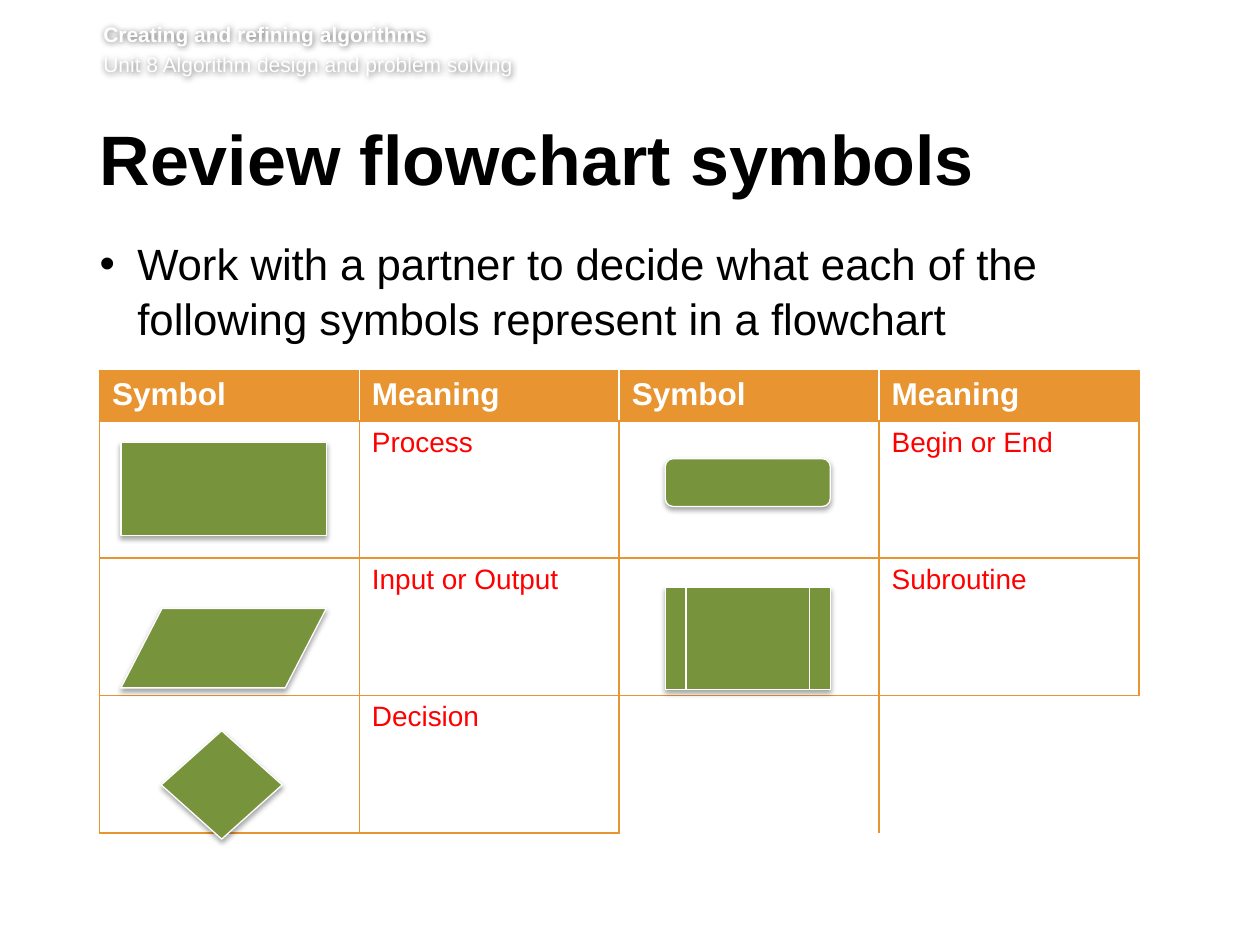
"""Build the flowchart symbols review slide."""
from dataclasses import dataclass

from lxml.etree import SubElement
from pptx import Presentation
from pptx.dml.color import RGBColor
from pptx.enum.shapes import MSO_SHAPE as Preset
from pptx.enum.text import MSO_ANCHOR as Anchor, MSO_AUTO_SIZE as AutoSize, PP_ALIGN as Align
from pptx.oxml import parse_xml
from pptx.oxml.ns import nsdecls, qn
from pptx.util import Inches, Pt

ORANGE, GREEN, RED = "E89431", "77933C", "FF0000"
WHITE, BLACK = "FFFFFF", "000000"
NO_STYLE = "{2D5ABB26-0587-4C30-8999-92F81FD0307C}"
LEFT, TABLE_TOP = 0.79, 2.94
COLUMN_WIDTH, HEADER_HEIGHT, ROW_HEIGHT = 2.0625, 0.4, 1.09
MEANINGS = [
    ["Symbol", "Meaning", "Symbol", "Meaning"],
    ["", "Process", "", "Begin or End"],
    ["", "Input or Output", "", "Subroutine"],
    ["", "Decision", "", ""],
]


@dataclass
class Symbol:
    """A flowchart symbol with its place in inches."""
    preset: Preset
    left: float
    top: float
    width: float
    height: float


SYMBOLS = [
    Symbol(Preset.ROUNDED_RECTANGLE, 5.28, 3.64, 1.31, 0.38),
    Symbol(Preset.FLOWCHART_PROCESS, 0.96, 3.51, 1.63, 0.74),
    Symbol(Preset.FLOWCHART_DATA, 0.96, 4.83, 1.63, 0.63),
    Symbol(Preset.FLOWCHART_PREDEFINED_PROCESS, 5.28, 4.66, 1.31, 0.81),
    Symbol(Preset.FLOWCHART_DECISION, 1.28, 5.8, 0.96, 0.86),
]


def rgb(color: str) -> RGBColor:
    """Turn a hex string into a colour."""
    return RGBColor.from_string(color)


def style(paragraph, size: float, color: str, bold: bool = False) -> None:
    """Format every run of a paragraph."""
    for run in paragraph.runs:
        run.font.name = "Arial"
        run.font.size = Pt(size)
        run.font.bold = bold
        run.font.color.rgb = rgb(color)


def set_frame(frame, top: float, right: float, bottom: float) -> None:
    """Set wrapping, top anchor and insets of a text frame."""
    frame.word_wrap = True
    frame.auto_size = AutoSize.NONE
    frame.vertical_anchor = Anchor.TOP
    frame.margin_left, frame.margin_top = 0, Inches(top)
    frame.margin_right, frame.margin_bottom = Inches(right), Inches(bottom)


def add_shadow(shape, blur: float, distance: float, alpha: int) -> None:
    """Give a shape a soft black shadow falling downwards."""
    shape.shadow.inherit = False
    effects = shape._element.spPr.find(qn("a:effectLst"))
    effects.append(parse_xml(
        f'<a:outerShdw {nsdecls("a")} blurRad="{Pt(blur)}" dist="{Pt(distance)}" '
        f'dir="5400000" rotWithShape="0"><a:srgbClr val="{BLACK}">'
        f'<a:alpha val="{alpha * 1000}"/></a:srgbClr></a:outerShdw>'))


def add_unit_header(slide) -> None:
    """Add the lesson and unit names at the top."""
    box = slide.shapes.add_textbox(Inches(0.82), Inches(0.17), Inches(8.82), Inches(0.49))
    frame = box.text_frame
    set_frame(frame, 0, 0, 0.05)
    frame.text = "Creating and refining algorithms\nUnit 8 Algorithm design and problem solving"
    lesson, unit = frame.paragraphs
    style(lesson, 12, WHITE, bold=True)
    style(unit, 12, WHITE)
    unit.space_before = Pt(2.9)
    add_shadow(box, 4, 0, 60)


def set_title(title) -> None:
    """Place and format the slide title."""
    title.left, title.top = Inches(LEFT), Inches(0.99)
    title.width, title.height = Inches(8.55), Inches(0.73)
    set_frame(title.text_frame, 0.05, 0.1, 0.05)
    title.text_frame.text = "Review flowchart symbols"
    heading = title.text_frame.paragraphs[0]
    heading.alignment = Align.LEFT
    heading.line_spacing = Pt(39)
    style(heading, 40, BLACK, bold=True)


def add_task(slide) -> None:
    """Add the bulleted task."""
    box = slide.shapes.add_textbox(Inches(LEFT), Inches(1.86), Inches(8.53), Inches(1))
    set_frame(box.text_frame, 0, 0.1, 0.05)
    task = box.text_frame.paragraphs[0]
    task.text = ("Work with a partner to decide what each of the "
                 "following symbols represent in a flowchart")
    task.line_spacing = 1.05
    properties = task._p.get_or_add_pPr()
    properties.set("marL", str(Inches(0.3)))
    properties.set("indent", str(Inches(-0.3)))
    SubElement(properties, qn("a:buFont"), typeface="Arial")
    SubElement(properties, qn("a:buChar"), char="•")
    style(task, 25, BLACK)


def set_borders(cell, colors: dict[str, str]) -> None:
    """Draw one-point borders on the given sides of a cell."""
    properties = cell._tc.get_or_add_tcPr()
    for index, (side, color) in enumerate(colors.items()):
        properties.insert(index, parse_xml(
            f'<a:ln{side} {nsdecls("a")} w="{Pt(1)}"><a:solidFill>'
            f'<a:srgbClr val="{color}"/></a:solidFill></a:ln{side}>'))


def border_colors(row: int, column: int) -> dict[str, str]:
    """Give the border colours of a cell by its place in the grid."""
    if row == 3 and column >= 2:
        return {"L": ORANGE, "T": ORANGE} if column == 2 else {"T": ORANGE}
    colors = dict.fromkeys("LRTB", ORANGE)
    if row == 0 and column > 0:
        colors["L"] = WHITE
    if row == 0 and column < 3:
        colors["R"] = WHITE
    return colors


def add_meanings(slide) -> None:
    """Add the table of symbols and meanings."""
    rows, columns = len(MEANINGS), len(MEANINGS[0])
    table = slide.shapes.add_table(
        rows, columns, Inches(LEFT), Inches(TABLE_TOP), Inches(columns * COLUMN_WIDTH),
        Inches(HEADER_HEIGHT + (rows - 1) * ROW_HEIGHT)).table
    table._tbl.tblPr.find(qn("a:tableStyleId")).text = NO_STYLE
    for column in table.columns:
        column.width = Inches(COLUMN_WIDTH)
    for row_index, meanings in enumerate(MEANINGS):
        is_header = row_index == 0
        table.rows[row_index].height = Inches(HEADER_HEIGHT if is_header else ROW_HEIGHT)
        for column_index, meaning in enumerate(meanings):
            cell = table.cell(row_index, column_index)
            cell.text = meaning
            if is_header:
                cell.fill.solid()
                cell.fill.fore_color.rgb = rgb(ORANGE)
                style(cell.text_frame.paragraphs[0], 18, WHITE, bold=True)
            else:
                cell.fill.background()
                style(cell.text_frame.paragraphs[0], 16, RED)
            set_borders(cell, border_colors(row_index, column_index))


def add_symbol(slide, symbol: Symbol) -> None:
    """Draw one flowchart symbol."""
    shape = slide.shapes.add_shape(
        symbol.preset, Inches(symbol.left), Inches(symbol.top),
        Inches(symbol.width), Inches(symbol.height))
    shape.fill.solid()
    shape.fill.fore_color.rgb = rgb(GREEN)
    shape.line.color.rgb = rgb(WHITE)
    shape.line.width = Pt(0.75)
    add_shadow(shape, 3.1, 1.8, 35)


def main() -> None:
    """Build and save the slide."""
    presentation = Presentation()
    presentation.slide_width, presentation.slide_height = Inches(10), Inches(7.5)
    slide = presentation.slides.add_slide(presentation.slide_layouts[5])
    add_unit_header(slide)
    set_title(slide.shapes.title)
    add_task(slide)
    add_meanings(slide)
    for symbol in SYMBOLS:
        add_symbol(slide, symbol)
    presentation.save("out.pptx")


if __name__ == "__main__":
    main()
